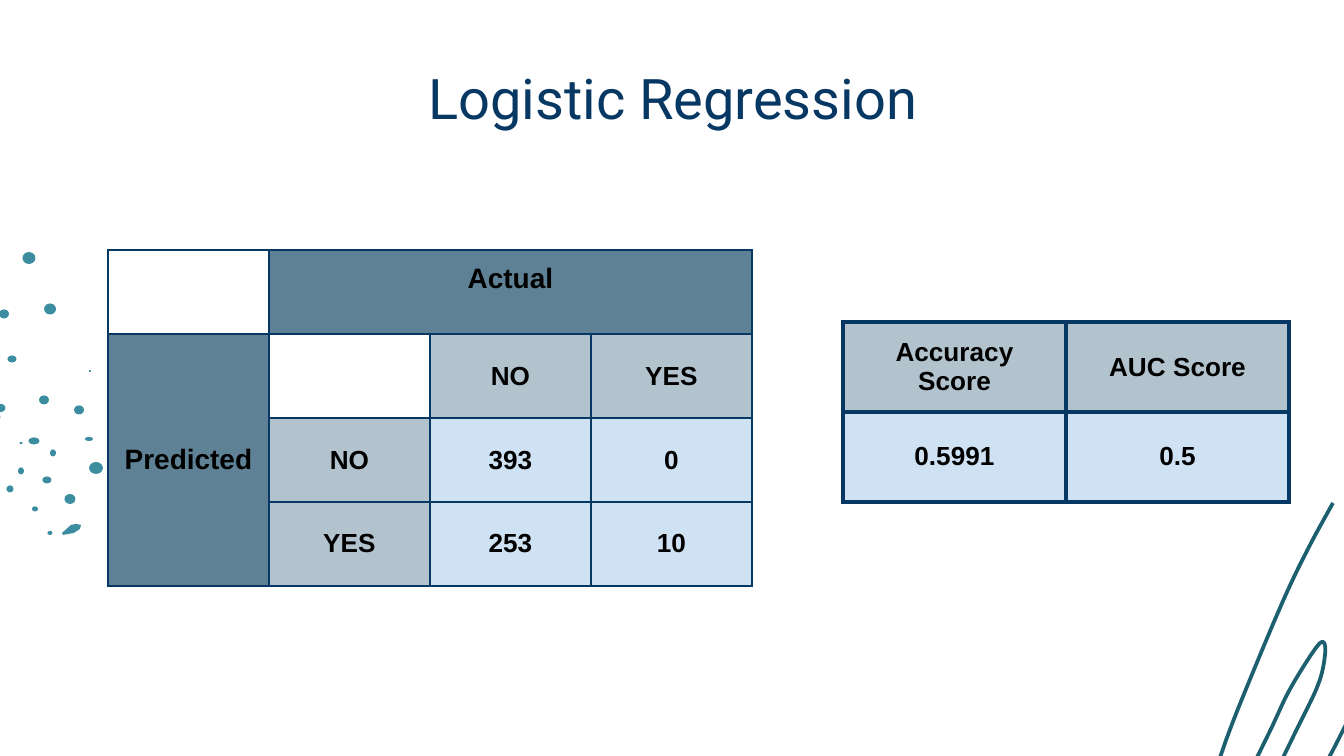
"""Build the logistic regression results slide."""
from lxml import etree
from pptx import Presentation
from pptx.dml.color import RGBColor
from pptx.enum.shapes import MSO_SHAPE
from pptx.enum.text import MSO_ANCHOR, MSO_AUTO_SIZE, PP_ALIGN
from pptx.oxml import parse_xml
from pptx.oxml.ns import nsdecls
from pptx.util import Pt

OVAL = MSO_SHAPE.OVAL
MIDDLE, TOP = MSO_ANCHOR.MIDDLE, MSO_ANCHOR.TOP
CENTER = PP_ALIGN.CENTER
PX = 914400 / 134.4
NAVY, TEAL, DEEP = "073763", "3C8DA0", "1C5F6F"
SLATE, GRAY, PALE = "5F8195", "B3C3CE", "CFE2F3"


def px(*sizes):
    return [round(size * PX) for size in sizes]


def color(value):
    return RGBColor.from_string(value)


deck = Presentation()
deck.slide_width, deck.slide_height = px(1344, 756)
slide = deck.slides.add_slide(deck.slide_layouts[0])
shapes = slide.shapes

dots = [
    (29, 258, 13, 12), (50, 309, 12, 11), (4, 314, 10, 9), (12, 359, 9, 7),
    (90, 371, 2, 2), (44, 400, 10, 9), (79, 410, 10, 9), (1, 408, 9, 8),
    (-8, 417, 17, 14), (21, 443, 3, 2), (34, 441, 11, 7), (89, 439, 8, 4),
    (53, 453, 6, 7), (96, 468, 14, 12), (21, 471, 6, 7), (47, 480, 9, 7),
    (10, 489, 7, 7), (70, 499, 11, 10), (35, 509, 6, 5), (50, 533, 5, 4),
]
for x, y, w, h in dots:
    dot = shapes.add_shape(OVAL, *px(x - w / 2, y - h / 2, w, h))
    dot.shadow.inherit = False
    dot.fill.solid()
    dot.fill.fore_color.rgb = color(TEAL)
    dot.line.fill.background()

drop = [(62, 533), (71, 525), (76, 524), (81, 525), (80, 529), (74, 533), (63, 535)]
pen = shapes.build_freeform(*drop[0], scale=PX)
pen.add_line_segments(drop[1:], close=True)
leaf = pen.convert_to_shape()
leaf.shadow.inherit = False
leaf.fill.solid()
leaf.fill.fore_color.rgb = color(TEAL)
leaf.line.fill.background()

knots = [
    (1333, 503), (1309, 547), (1283, 601), (1242, 699), (1223, 749),
    (1218, 769), (1223, 786), (1234, 789), (1246, 778), (1270, 731),
    (1289, 691), (1313, 652), (1323, 642), (1325, 655), (1318, 685),
    (1295, 733), (1270, 784), (1258, 808), (1249, 828), (1251, 853),
    (1271, 858), (1290, 839), (1309, 796), (1333, 750), (1359, 702),
    (1396, 656), (1399, 679), (1380, 739), (1356, 782), (1331, 831),
    (1310, 874), (1308, 898), (1321, 900), (1349, 866), (1374, 809),
    (1425, 712), (1452, 696), (1457, 720), (1445, 755), (1398, 843),
    (1360, 906), (1360, 934), (1383, 937), (1402, 919), (1477, 761),
]
ends = [knots[0], *knots, knots[-1]]
curve = []
for a, b, c, d in zip(ends, ends[1:], ends[2:], ends[3:]):
    for step in range(1, 9):
        t = step / 8
        curve.append([
            (2 * q + (r - p) * t + (2 * p - 5 * q + 4 * r - s) * t**2
             + (3 * q - p - 3 * r + s) * t**3) / 2
            for p, q, r, s in zip(a, b, c, d)
        ])
pen = shapes.build_freeform(*px(*knots[0]), scale=1)
pen.add_line_segments([px(*spot) for spot in curve], close=False)
swirl = pen.convert_to_shape()
swirl.shadow.inherit = False
swirl.fill.background()
swirl.line.color.rgb = color(DEEP)
swirl.line.width = Pt(2)

title, sub = slide.placeholders
etree.ElementBase.remove(sub.element.getparent(), sub.element)
title.left, title.top, title.width, title.height = px(109, 55, 1128, 85)
frame = title.text_frame
frame.auto_size = MSO_AUTO_SIZE.NONE
frame.vertical_anchor = MIDDLE
para = frame.paragraphs[0]
para.alignment = CENTER
run = para.add_run()
run.text = "Logistic Regression"
run.font.size, run.font.name = Pt(30), "Roboto"
run.font.color.rgb = color(NAVY)

matrix = [
    [("", ""), ("Actual", SLATE), ("", ""), ("", "")],
    [("Predicted", SLATE), ("", ""), ("NO", GRAY), ("YES", GRAY)],
    [("", ""), ("NO", GRAY), ("393", PALE), ("0", PALE)],
    [("", ""), ("YES", GRAY), ("253", PALE), ("10", PALE)],
]
scores = [
    [("Accuracy Score", GRAY), ("AUC Score", GRAY)],
    [("0.5991", PALE), ("0.5", PALE)],
]
tables = [
    (matrix, 108, 250, 161, 84, 1.5, [(0, 1, 0, 3), (1, 0, 3, 0)]),
    (scores, 843, 322, 223, 90, 2.25, []),
]
for rows, left, top, wide, high, edge, spans in tables:
    count = len(rows[0])
    place = px(left, top, wide * count, high * len(rows))
    table = shapes.add_table(len(rows), count, *place).table
    table.first_row = table.horz_banding = False
    for col in table.columns:
        col.width = px(wide)[0]
    for i, row in enumerate(rows):
        table.rows[i].height = px(high)[0]
        for j, (text, fill) in enumerate(row):
            cell = table.cell(i, j)
            pad = px(13)[0]
            cell.margin_left = cell.margin_right = pad
            cell.margin_top = cell.margin_bottom = pad
            cell.vertical_anchor = TOP if text == "Actual" else MIDDLE
            props = cell._tc.get_or_add_tcPr()
            for side in "LRTB":
                props.append(parse_xml(
                    f'<a:ln{side} {nsdecls("a")} w="{Pt(edge)}"><a:solidFill>'
                    f'<a:srgbClr val="{NAVY}"/></a:solidFill></a:ln{side}>'))
            if not text:
                cell.fill.background()
                continue
            cell.fill.solid()
            cell.fill.fore_color.rgb = color(fill)
            para = cell.text_frame.paragraphs[0]
            para.alignment = CENTER
            run = para.add_run()
            run.text = text
            run.font.size = Pt(15 if fill == SLATE else 14)
            run.font.name, run.font.bold = "Arial", True
            run.font.color.rgb = color("000000")
    for i, j, down, over in spans:
        table.cell(i, j).merge(table.cell(max(i, down), max(j, over)))

deck.save("out.pptx")
